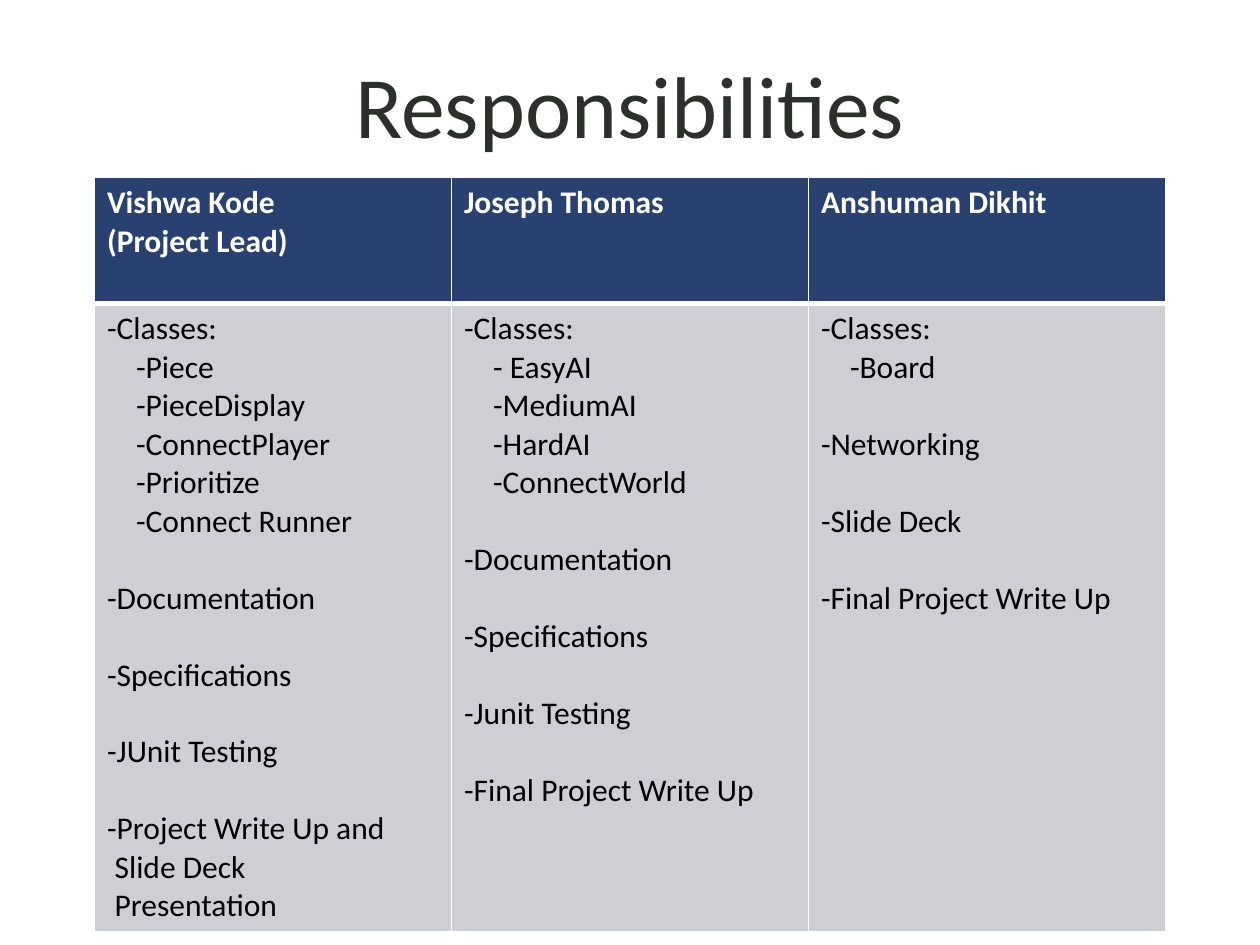
from lxml.etree import SubElement
from pptx import Presentation
from pptx.dml.color import RGBColor
from pptx.enum.text import MSO_ANCHOR, PP_ALIGN
from pptx.oxml.ns import qn
from pptx.util import Inches, Pt

FONT = "Calibri"
INK = RGBColor(0x2D, 0x2F, 0x2B)
NAVY = RGBColor(0x29, 0x41, 0x71)
GREY = RGBColor(0xCD, 0xCF, 0xD5)
WHITE = RGBColor(0xFF, 0xFF, 0xFF)
BLACK = RGBColor(0, 0, 0)

LEFT, WIDTH = Inches(0.75), Inches(8.5)
TASK_GAP = Pt(22)  # one text line between tasks
CLASS_INDENT = Inches(0.23)
WRAP_INDENT = Inches(0.06)

# Each member: name lines, classes, then tasks (each a list of lines)
MEMBERS = [
    (["Vishwa Kode", "(Project Lead)"],
     ["-Piece", "-PieceDisplay", "-ConnectPlayer", "-Prioritize", "-Connect Runner"],
     [["-Documentation"], ["-Specifications"], ["-JUnit Testing"],
      ["-Project Write Up and", "Slide Deck", "Presentation"]]),
    (["Joseph Thomas"],
     ["- EasyAI", "-MediumAI", "-HardAI", "-ConnectWorld"],
     [["-Documentation"], ["-Specifications"], ["-Junit Testing"],
      ["-Final Project Write Up"]]),
    (["Anshuman Dikhit"],
     ["-Board"],
     [["-Networking"], ["-Slide Deck"], ["-Final Project Write Up"]]),
]


def add_title(slide, text):
    title = slide.shapes.title
    title.left, title.top = LEFT, Inches(0.07)
    title.width, title.height = WIDTH, Inches(1.5)
    title.text_frame.text = text
    title.text_frame.vertical_anchor = MSO_ANCHOR.MIDDLE
    heading = title.text_frame.paragraphs[0]
    heading.alignment = PP_ALIGN.CENTER
    heading.font.name, heading.font.size = FONT, Pt(50)
    heading.font.color.rgb = INK


def set_borders(cell, **widths):
    """Draw white cell borders; widths are points keyed by L, R, T, B."""
    for side, width in widths.items():
        line = SubElement(cell._tc.get_or_add_tcPr(), qn(f"a:ln{side}"), w=str(Pt(width)))
        fill = SubElement(line, qn("a:solidFill"))
        SubElement(fill, qn("a:srgbClr"), val=str(WHITE))


def fill_cell(cell, lines, fill, color, bold):
    """Write lines given as (text, indent, space before)."""
    cell.fill.solid()
    cell.fill.fore_color.rgb = fill
    cell.text = "\n".join(text for text, _, _ in lines)
    for paragraph, (_, indent, gap) in zip(cell.text_frame.paragraphs, lines):
        paragraph.font.name, paragraph.font.size = FONT, Pt(18)
        paragraph.font.bold = bold
        paragraph.font.color.rgb = color
        paragraph.space_before = gap
        paragraph._p.get_or_add_pPr().set("marL", str(indent))


def duty_lines(classes, tasks):
    lines = [("-Classes:", 0, Pt(0))]
    lines += [(name, CLASS_INDENT, Pt(0)) for name in classes]
    for first, *rest in tasks:
        lines.append((first, 0, TASK_GAP))
        lines += [(text, WRAP_INDENT, Pt(0)) for text in rest]
    return lines


def add_duties_table(slide):
    table = slide.shapes.add_table(
        2, len(MEMBERS), LEFT, Inches(1.41), WIDTH, Inches(5.92)).table
    table.rows[0].height, table.rows[1].height = Inches(1), Inches(4.92)
    for col, (name_lines, classes, tasks) in enumerate(MEMBERS):
        header, duties = table.cell(0, col), table.cell(1, col)
        set_borders(header, L=1, R=1, T=1, B=3)
        set_borders(duties, L=1, R=1, T=3, B=1)
        fill_cell(header, [(text, 0, Pt(0)) for text in name_lines], NAVY, WHITE, True)
        fill_cell(duties, duty_lines(classes, tasks), GREY, BLACK, False)


def main():
    prs = Presentation()
    prs.slide_width, prs.slide_height = Inches(10), Inches(7.5)
    slide = prs.slides.add_slide(prs.slide_layouts[5])  # title only
    add_title(slide, "Responsibilities")
    add_duties_table(slide)
    prs.save("out.pptx")


if __name__ == "__main__":
    main()
